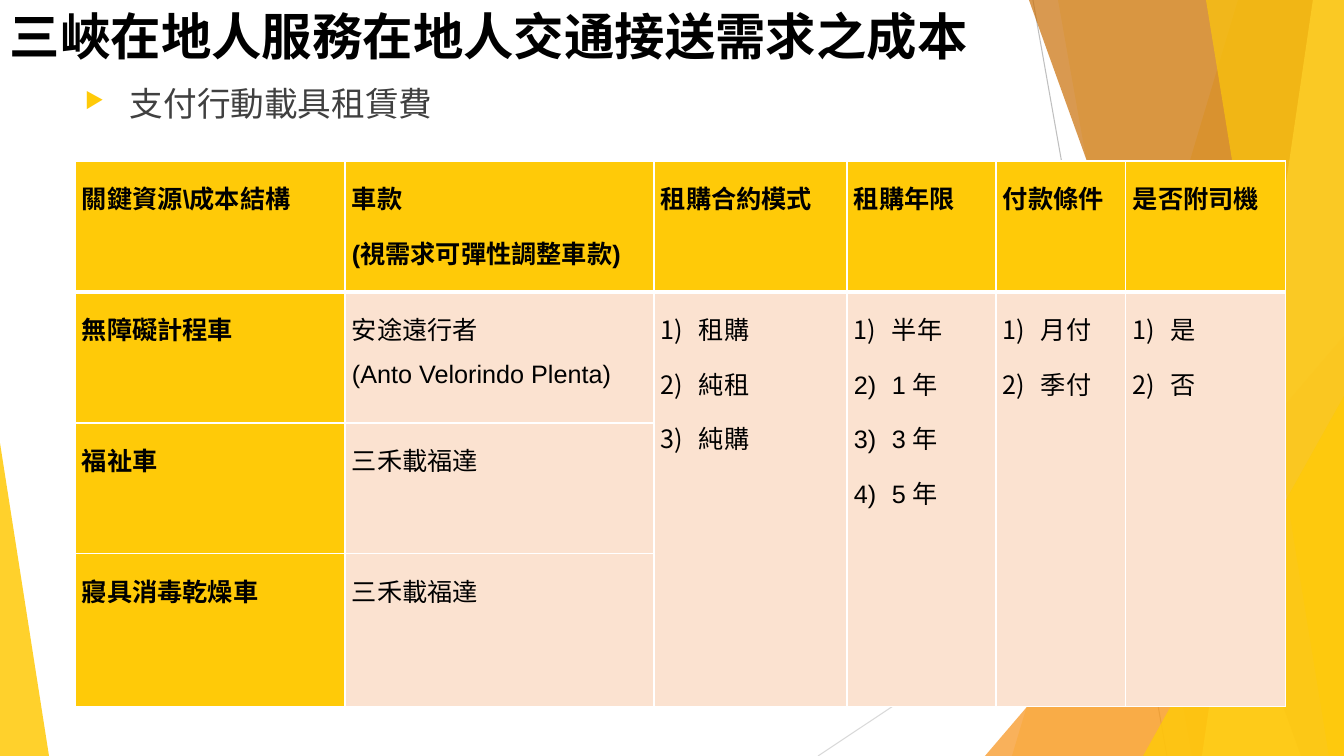
from dataclasses import dataclass
from lxml import etree
from pptx import Presentation, util as u
from pptx.dml.color import RGBColor
from pptx.enum import shapes, text
from pptx.oxml.ns import qn

PX = 914400 / 100.8


@dataclass(frozen=True)
class Theme:
    gold: str = "FFCA08"
    pale: str = "FFDF6B"
    amber: str = "F8931D"
    brown: str = "CA6F06"
    peach: str = "FBE2D0"
    white: str = "FFFFFF"
    black: str = "000000"
    ink: str = "404040"
    gray: str = "BFBFBF"
    mist: str = "D9D9D9"
    head: str = "Karla"
    body: str = "Arial"
    title: int = 36
    lead: int = 24
    cell: int = 18


T = Theme()
BANDS = [
    ("free", 1238, 1012, T.gold, 30),
    ("free", 1058, 1192, T.gold, 20),
    ("tri", 985, 336, T.amber, 72),
    ("free", 1029, 1301, T.brown, 70),
    ("free", 1313, 1202, T.pale, 70),
    ("free", 1206, 1329, T.gold, 65),
    ("tri", 1143, 396, T.gold, 80),
]
COLS = [270, 309, 193, 149, 130, 160]
ROWS = [131, 131, 131, 153]
HEADS = ["關鍵資源\\成本結構", "車款\n(視需求可彈性調整車款)",
         "租購合約模式", "租購年限", "付款條件", "是否附司機"]
CARS = [("無障礙計程車", "安途遠行者\n(Anto Velorindo Plenta)"),
        ("福祉車", "三禾載福達"), ("寢具消毒乾燥車", "三禾載福達")]
TERMS = [["租購", "純租", "純購"], ["半年", "1 年", "3 年", "5 年"],
         ["月付", "季付"], ["是", "否"]]


def px(n):
    return u.Emu(round(n * PX))


def put(obj, fmt):
    for key, val in fmt.items():
        setattr(obj, key, val)


def node(top, tag, **attrs):
    return etree.SubElement(top, qn(tag), {k: str(v) for k, v in attrs.items()})


def tint(shape, color, alpha):
    shape.shadow.inherit = False
    shape.fill.solid()
    shape.fill.fore_color.rgb = RGBColor.from_string(color)
    shape.line.fill.background()
    hue = shape.fill._xPr.find(qn("a:solidFill"))[0]
    node(hue, "a:alpha", val=alpha * 1000)


def write(para, words, color, **fmt):
    para.text = words
    for run in para.runs:
        put(run.font, fmt)
        run.font.color.rgb = RGBColor.from_string(color)


def hang(para, indent):
    props = para._p.get_or_add_pPr()
    put_at = {"marL": px(indent), "indent": -px(indent)}
    for key, val in put_at.items():
        props.set(key, str(int(val)))
    return props


def wire(slide, start, end, color):
    line = slide.shapes.add_connector(
        shapes.MSO_CONNECTOR.STRAIGHT, *map(px, start + end))
    line.line.width = u.Pt(0.75)
    line.line.color.rgb = RGBColor.from_string(color)
    node(line._element.spPr, "a:effectLst")


def wedge(slide, box, tip, color, alpha):
    shape = slide.shapes.add_shape(
        shapes.MSO_SHAPE.ISOSCELES_TRIANGLE, *map(px, box))
    shape.adjustments[0] = tip
    tint(shape, color, alpha)


def backdrop(slide, box):
    x, y, w, h = box
    right, low = x + w, y + h
    wire(slide, (x + 1033, y), (x + 1167, low), T.gray)
    wire(slide, (right, y + 406), (x + 818, low), T.mist)
    for kind, a, b, color, alpha in BANDS:
        if kind == "tri":
            wedge(slide, (x + a, y + b, w - a, h - b), 1, color, alpha)
            continue
        form = slide.shapes.build_freeform(x + a, y, scale=PX)
        form.add_line_segments([(right, y), (right, low), (x + b, low)])
        tint(form.convert_to_shape(), color, alpha)
    wedge(slide, (x, y + 443, 49, h - 443), 0, T.gold, 85)


def label(slide, box, anchor):
    frame = slide.shapes.add_textbox(*map(px, box)).text_frame
    put(frame, {"word_wrap": True, "vertical_anchor": anchor})
    return frame.paragraphs[0]


def title(slide, box):
    para = label(slide, box, text.MSO_ANCHOR.MIDDLE)
    write(para, "三峽在地人服務在地人交通接送需求之成本", T.black,
          name=T.head, size=u.Pt(T.title), bold=True)


def lead(slide, box):
    para = label(slide, box, text.MSO_ANCHOR.TOP)
    props = hang(para, 45)
    node(node(props, "a:buClr"), "a:srgbClr", val=T.gold)
    node(props, "a:buSzPct", val=65000)
    node(props, "a:buChar", char="▶")
    write(para, "支付行動載具租賃費", T.ink,
          name=T.head, size=u.Pt(T.lead))


def edge(cell, row):
    props = cell._tc.get_or_add_tcPr()
    thick = {"a:lnT": row == 1, "a:lnB": row == 0}
    for i, tag in enumerate(("a:lnL", "a:lnR", "a:lnT", "a:lnB")):
        width = u.Pt(3 if thick.get(tag) else 1)
        line = etree.Element(qn(tag), {"w": str(int(width))})
        node(node(line, "a:solidFill"), "a:srgbClr", val=T.white)
        props.insert(i, line)


def fill(cell, items, bold, listed=False):
    for i, words in enumerate(items):
        frame = cell.text_frame
        para = frame.add_paragraph() if i else frame.paragraphs[0]
        para.line_spacing = 1.5
        if listed:
            node(hang(para, 38), "a:buAutoNum", type="arabicParenR")
        write(para, words, T.black,
              name=T.body, size=u.Pt(T.cell), bold=bold)


def costs(slide, box):
    grid = slide.shapes.add_table(
        len(ROWS), len(COLS), *map(px, box)).table
    for col, w in zip(grid.columns, COLS):
        col.width = px(w)
    for row, h in zip(grid.rows, ROWS):
        row.height = px(h)
    pad = {"margin_left": px(7), "margin_right": px(7),
           "margin_top": 0, "margin_bottom": 0}
    for r in range(len(ROWS)):
        for c in range(len(COLS)):
            cell = grid.cell(r, c)
            put(cell, pad)
            cell.fill.solid()
            color = T.peach if r and c else T.gold
            cell.fill.fore_color.rgb = RGBColor.from_string(color)
            edge(cell, r)
    for c, words in enumerate(HEADS):
        fill(grid.cell(0, c), [words], True)
    for r, (kind, model) in enumerate(CARS, 1):
        fill(grid.cell(r, 0), [kind], True)
        fill(grid.cell(r, 1), [model], False)
    for c, items in enumerate(TERMS, 2):
        grid.cell(1, c).merge(grid.cell(3, c))
        fill(grid.cell(1, c), items, False, True)


def main():
    deck = Presentation()
    put(deck, {"slide_width": px(1344), "slide_height": px(756)})
    slide = deck.slides.add_slide(deck.slide_layouts[6])
    backdrop(slide, (0, 0, 1344, 756))
    title(slide, (0, 0, 1318, 70))
    lead(slide, (75, 78, 948, 66))
    costs(slide, (75, 161, sum(COLS), sum(ROWS)))
    deck.save("out.pptx")


if __name__ == "__main__":
    main()
